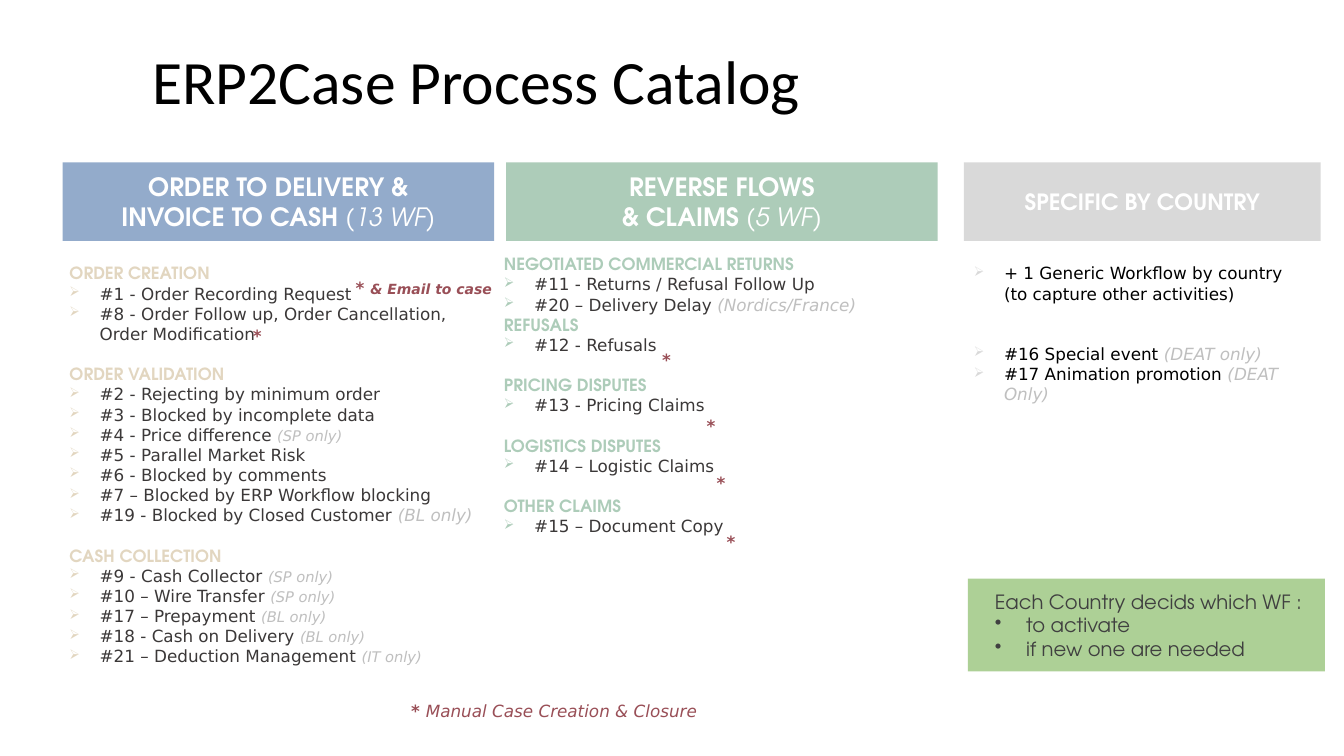
from lxml import etree
from pptx import Presentation, util as u
from pptx.dml import color
from pptx.enum import shapes, text
from pptx.oxml import ns


def rgb(value):
    return color.RGBColor.from_string(value)


class Catalog:
    HEAD = "TeX Gyre Adventor"
    BODY = "DejaVu Sans"
    RED = dict(name=BODY, size=12, color="994F57", bold=True, italic=True)
    NOTE = dict(name=BODY, color="BFBFBF", italic=True)

    def __init__(self, prs):
        self.s = prs.slides.add_slide(prs.slide_layouts[6])

    def run(self, p, words, **style):
        r = p.add_run()
        r.text = words
        for key, value in style.items():
            if key == "color":
                r.font.color.rgb = rgb(value)
            else:
                setattr(r.font, key, u.Pt(value) if key == "size" else value)

    def bullet(self, p, char, indent, tint=None):
        pr = p._p.get_or_add_pPr()
        pr.set("marL", str(u.Inches(indent)))
        pr.set("indent", str(-u.Inches(indent)))
        if tint:
            clr = etree.SubElement(pr, ns.qn("a:buClr"))
            etree.SubElement(clr, ns.qn("a:srgbClr"), val=tint)
            etree.SubElement(pr, ns.qn("a:buSzPct"), val="80000")
        etree.SubElement(pr, ns.qn("a:buChar"), char=char)

    def box(self, at, **frame):
        sp = self.s.shapes.add_textbox(*map(u.Inches, at))
        tf = sp.text_frame
        for key, value in {"word_wrap": True, **frame}.items():
            setattr(tf, key, value)
        return tf

    def block(self, at, fill, kind=shapes.MSO_SHAPE.RECTANGLE, alpha=None):
        sp = self.s.shapes.add_shape(kind, *map(u.Inches, at))
        sp.shadow.inherit = False
        sp.fill.solid()
        sp.fill.fore_color.rgb = rgb(fill)
        sp.line.fill.background()
        if alpha:
            clr = sp._element.spPr.find(".//" + ns.qn("a:srgbClr"))
            etree.SubElement(clr, ns.qn("a:alpha"), val=str(alpha * 1000))
        return sp

    def header(self, left, width, fill, size, lines):
        tf = self.block((left, 1.61, width, 0.78), fill).text_frame
        frame = dict(margin_left=0, margin_right=0, margin_top=0, margin_bottom=0,
                     word_wrap=True, vertical_anchor=text.MSO_ANCHOR.MIDDLE)
        for key, value in frame.items():
            setattr(tf, key, value)
        for i, (words, count) in enumerate(lines):
            p = tf.paragraphs[0] if i == 0 else tf.add_paragraph()
            p.alignment = text.PP_ALIGN.CENTER
            style = dict(name=self.HEAD, size=size, color="FFFFFF")
            self.run(p, words, bold=True, **style)
            if count:
                self.run(p, count, italic=True, **style)

    def flows(self, at, tint, ink, sections):
        tf = self.box(at, margin_top=u.Inches(0.12))
        fresh = True
        for title, gap, items in sections:
            rows = ([(title,)] if title else []) + items
            for i, (words, *note) in enumerate(rows):
                p = tf.paragraphs[0] if fresh else tf.add_paragraph()
                fresh = False
                p.line_spacing = u.Pt(14.4)
                p.space_before = u.Pt(14.4 * gap if i == 0 else 0)
                if title and i == 0:
                    self.run(p, words, name=self.HEAD, size=12, color=tint, bold=True)
                    continue
                self.bullet(p, "➢", 0.3, tint)
                self.run(p, words, name=self.BODY, size=12, color=ink)
                if note:
                    self.run(p, note[0], size=note[1], **self.NOTE)

    def mark(self, at, words="", **style):
        p = self.box(at).paragraphs[0]
        self.run(p, "* " if words else "*", **self.RED)
        if words:
            self.run(p, words, **{**self.RED, **style})

    def title(self, at, words):
        tf = self.box(at, vertical_anchor=text.MSO_ANCHOR.MIDDLE)
        p = tf.paragraphs[0]
        p.line_spacing = 0.9
        self.run(p, words, name="Calibri", size=44, color="000000")

    def decision(self, intro, choices):
        sp = self.block((9.6, 5.74, 3.54, 0.92), "70AD47", shapes.MSO_SHAPE.PENTAGON, 57)
        sp.adjustments[0] = 0
        tf = self.box((9.77, 5.8, 3.34, 0.81))
        style = dict(name=self.HEAD, size=14, color="404040")
        self.run(tf.paragraphs[0], intro, **style)
        for choice in choices:
            p = tf.add_paragraph()
            self.bullet(p, "•", 0.31)
            self.run(p, choice, **style)


ORDERS = [
    ("ORDER CREATION", 0, [
        ("#1 - Order Recording Request",),
        ("#8 - Order Follow up, Order Cancellation, Order Modification",)]),
    ("ORDER VALIDATION", 1, [
        ("#2 - Rejecting by minimum order",),
        ("#3 - Blocked by incomplete data",),
        ("#4 - Price difference ", "(SP only)", 10.5),
        ("#5 - Parallel Market Risk",),
        ("#6 - Blocked by comments",),
        ("#7 – Blocked by ERP Workflow blocking",),
        ("#19 - Blocked by Closed Customer ", "(BL only)", 12)]),
    ("CASH COLLECTION", 1, [
        ("#9 - Cash Collector ", "(SP only)", 10.5),
        ("#10 – Wire Transfer ", "(SP only)", 10.5),
        ("#17 – Prepayment ", "(BL only)", 10.5),
        ("#18 - Cash on Delivery ", "(BL only)", 10.5),
        ("#21 – Deduction Management ", "(IT only)", 10.5)]),
]
CLAIMS = [
    ("NEGOTIATED COMMERCIAL RETURNS", 0, [
        ("#11 - Returns / Refusal Follow Up",),
        ("#20 – Delivery Delay ", "(Nordics/France)", 12)]),
    ("REFUSALS", 0, [("#12 - Refusals",)]),
    ("PRICING DISPUTES", 1, [("#13 - Pricing Claims",)]),
    ("LOGISTICS DISPUTES", 1, [("#14 – Logistic Claims",)]),
    ("OTHER CLAIMS", 1, [("#15 – Document Copy",)]),
]
COUNTRY = [
    (None, 0, [("+ 1 Generic Workflow by country (to capture other activities)",)]),
    (None, 2, [
        ("#16 Special event ", "(DEAT only)", 12),
        ("#17 Animation promotion ", "(DEAT Only)", 12)]),
]
MARKS = [(2.41, 3.18), (6.47, 3.42), (6.91, 4.08), (7.01, 4.64), (7.11, 5.23)]


def main():
    prs = Presentation()
    prs.slide_width, prs.slide_height = u.Inches(13.33), u.Inches(7.5)
    c = Catalog(prs)
    c.title((1.41, 0.11, 11.5, 1.45), "ERP2Case Process Catalog")
    c.header(0.62, 4.28, "93ABCB", 18,
             [("ORDER TO DELIVERY &", ""), ("INVOICE TO CASH ", "(13 WF)")])
    c.header(5.02, 4.28, "ADCCB9", 18, [("REVERSE FLOWS", ""), ("& CLAIMS ", "(5 WF)")])
    c.header(9.56, 3.54, "D9D9D9", 16, [("SPECIFIC BY COUNTRY", "")])
    c.flows((0.59, 2.49, 4.31, 4.18), "E2D6C0", "3B3838", ORDERS)
    c.flows((4.9, 2.4, 4.52, 4.2), "ADCCB9", "3B3838", CLAIMS)
    c.flows((9.56, 2.49, 3.54, 0.7), "D9D9D9", "000000", COUNTRY)
    c.mark((3.98, 6.9, 3.18, 0.3), "Manual Case Creation & Closure", bold=False)
    c.mark((3.43, 2.71, 1.87, 0.3), "& Email to case", size=10)
    for left, top in MARKS:
        c.mark((left, top, 0.4, 0.3))
    c.decision("Each Country decids which WF :", ["to activate", "if new one are needed"])
    prs.save("out.pptx")


if __name__ == "__main__":
    main()
